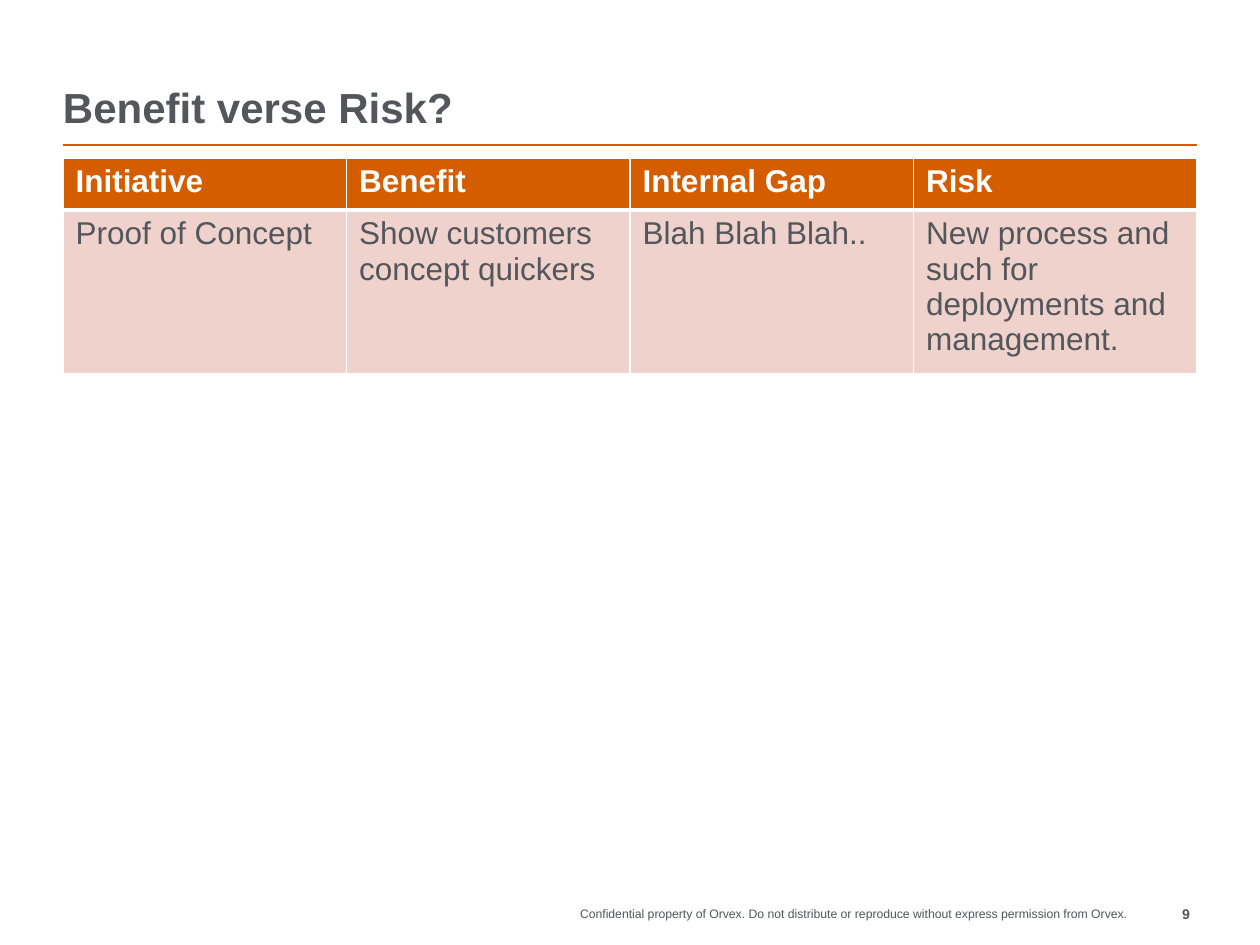
from lxml.etree import SubElement
from pptx import Presentation
from pptx.dml.color import RGBColor
from pptx.enum.shapes import MSO_CONNECTOR
from pptx.enum.text import MSO_ANCHOR, PP_ALIGN
from pptx.oxml.ns import qn
from pptx.util import Pt

PX = 914400 / 126
ORANGE = RGBColor(0xD4, 0x5D, 0x00)
PINK = RGBColor(0xEF, 0xD2, 0xCC)
GRAY = RGBColor(0x53, 0x56, 0x5A)
WHITE = RGBColor(0xFF, 0xFF, 0xFF)

LEFT, WIDTH = 63, 1134
ROW_HEIGHT = 52
ROWS = [
    ["Initiative", "Benefit", "Internal Gap", "Risk"],
    ["Proof of Concept", "Show customers concept quickers", "Blah Blah Blah..",
     "New process and such for deployments and management."],
]


def px(*lengths):
    return [round(n * PX) for n in lengths]


class SlideBuilder:
    font = "Arial"

    def __init__(self, slide):
        self.slide = slide

    def run(self, p, text, size, color=GRAY, bold=False):
        r = p.add_run()
        r.text = text
        r.font.name = self.font
        r.font.size = Pt(size)
        r.font.bold = bold
        r.font.color.rgb = color

    def text(self, box, text, size, bold=False, align=PP_ALIGN.LEFT, anchor=MSO_ANCHOR.TOP):
        tf = self.slide.shapes.add_textbox(*px(*box)).text_frame
        tf.word_wrap = True
        tf.vertical_anchor = anchor
        tf.margin_left = tf.margin_top = tf.margin_right = tf.margin_bottom = 0
        p = tf.paragraphs[0]
        p.alignment = align
        self.run(p, text, size, bold=bold)

    def line(self, x1, y1, x2, y2, color, width):
        cx = self.slide.shapes.add_connector(MSO_CONNECTOR.STRAIGHT, *px(x1, y1, x2, y2))
        cx.line.color.rgb = color
        cx.line.width = Pt(width)
        SubElement(cx._element.spPr, qn("a:effectLst"))

    def borders(self, cell, top, bottom):
        tc_pr = cell._tc.get_or_add_tcPr()
        for i, (side, width) in enumerate(zip("LRTB", (1, 1, top, bottom))):
            ln = tc_pr.makeelement(qn(f"a:ln{side}"), {"w": str(Pt(width))})
            fill = SubElement(ln, qn("a:solidFill"))
            SubElement(fill, qn("a:srgbClr"), val=str(WHITE))
            tc_pr.insert(i, ln)

    def table(self, x, y, width, row_height, rows, size):
        shape = self.slide.shapes.add_table(
            len(rows), len(rows[0]), *px(x, y, width, row_height * len(rows)))
        for i, texts in enumerate(rows):
            header = i == 0
            for j, text in enumerate(texts):
                cell = shape.table.cell(i, j)
                cell.fill.solid()
                cell.fill.fore_color.rgb = ORANGE if header else PINK
                self.borders(cell, top=3 if i == 1 else 1, bottom=3 if header else 1)
                self.run(cell.text_frame.paragraphs[0], text, size,
                         WHITE if header else GRAY, header)


def main():
    prs = Presentation()
    prs.slide_width, prs.slide_height = px(1260, 945)
    s = SlideBuilder(prs.slides.add_slide(prs.slide_layouts[6]))
    s.line(LEFT, 145, LEFT + WIDTH, 145, ORANGE, 1)
    s.text((420, 906, 707, 29),
           "Confidential property of Orvex. Do not distribute or reproduce "
           "without express permission from Orvex.", 7, align=PP_ALIGN.RIGHT)
    s.text((1127, 906, 63, 29), "9", 8, bold=True, align=PP_ALIGN.RIGHT)
    s.text((LEFT, 26, WIDTH, 106), "Benefit verse Risk?", 24, bold=True,
           anchor=MSO_ANCHOR.BOTTOM)
    s.table(LEFT, 158, WIDTH, ROW_HEIGHT, ROWS, 18)
    prs.save("out.pptx")


if __name__ == "__main__":
    main()
